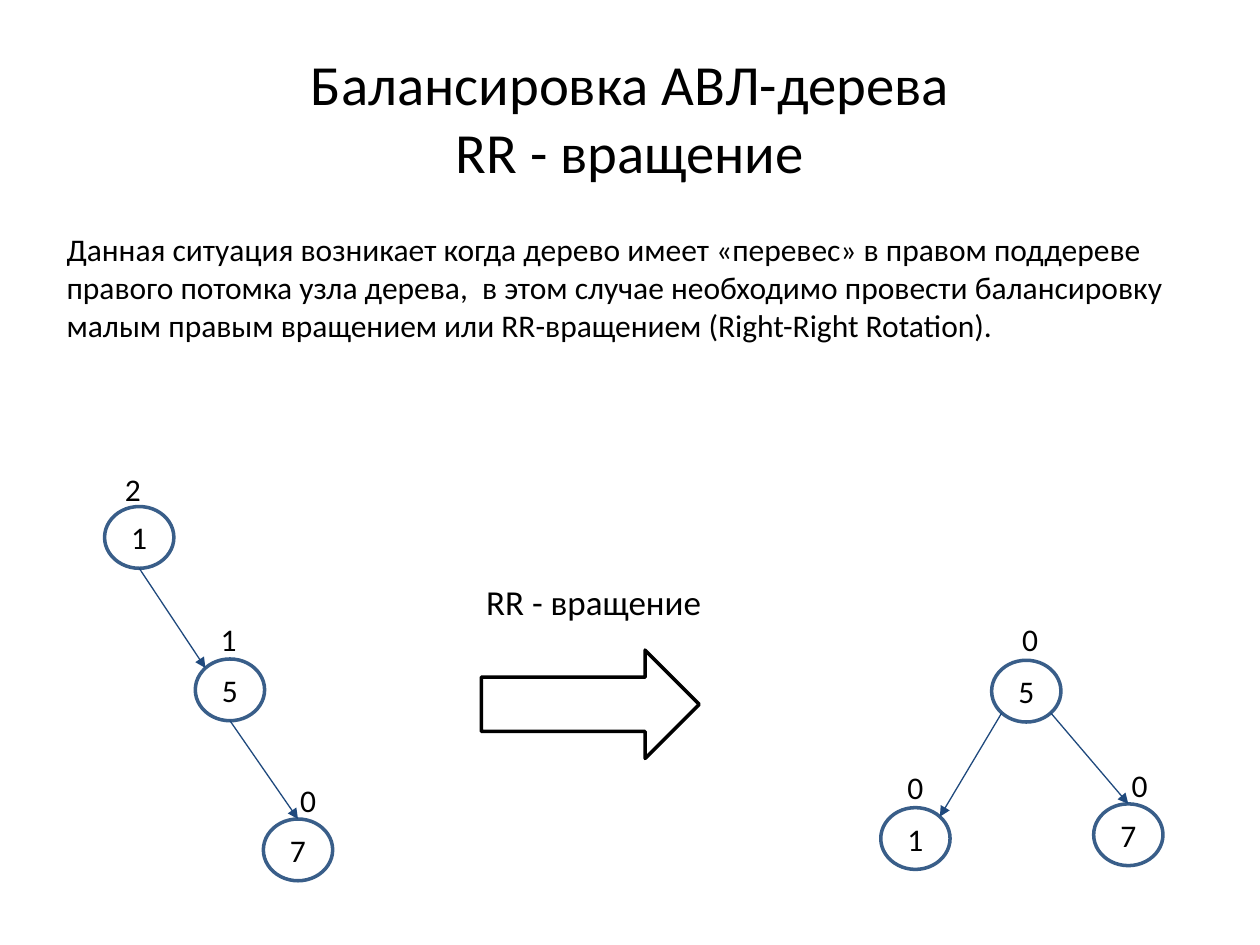
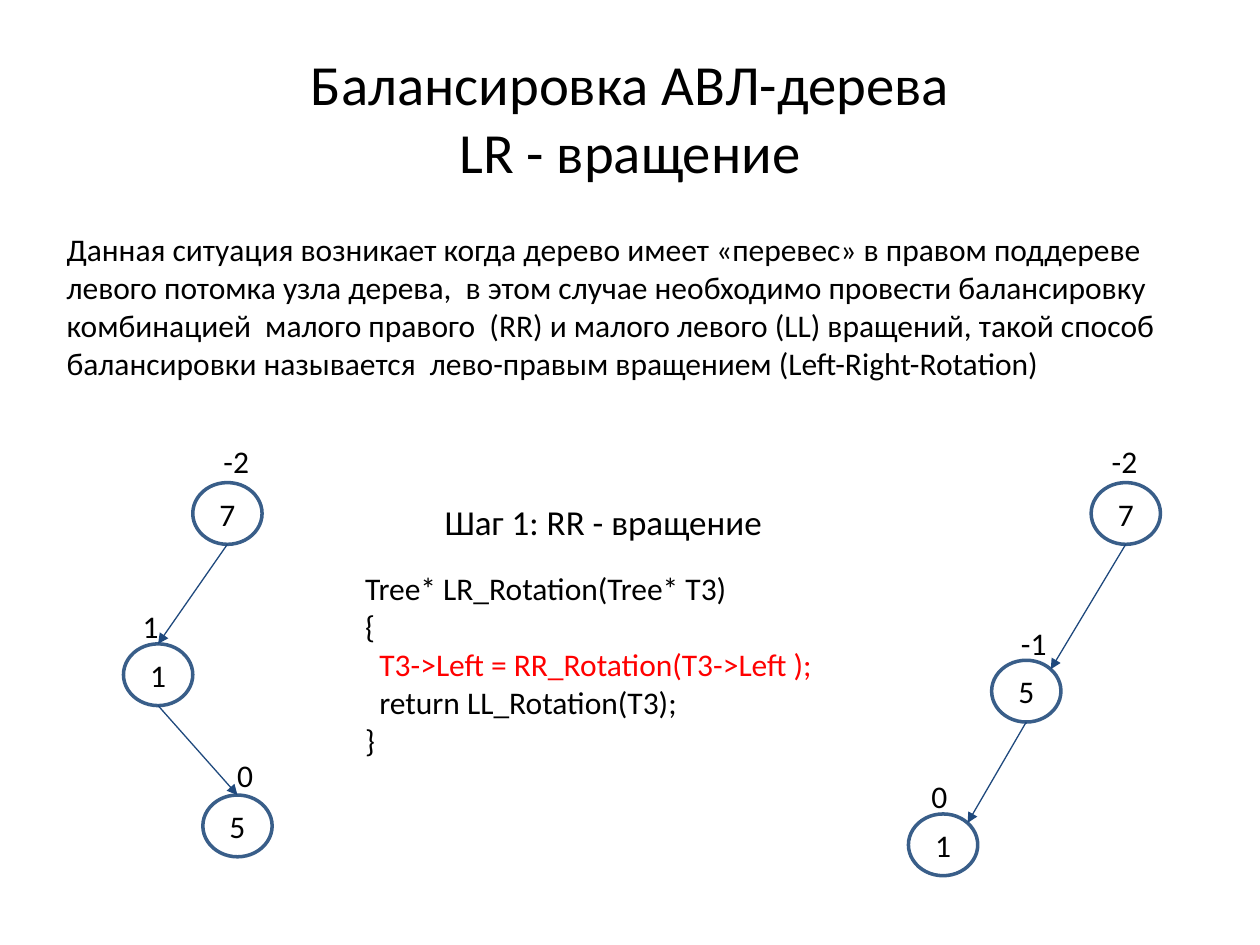
from math import sqrt

from lxml.etree import SubElement
from pptx import Presentation
from pptx.dml.color import RGBColor
from pptx.enum.shapes import MSO_CONNECTOR as Connector, MSO_SHAPE as Shape
from pptx.enum.text import MSO_ANCHOR as Anchor, MSO_AUTO_SIZE as AutoSize, PP_ALIGN as Align
from pptx.oxml.ns import qn
from pptx.util import Emu, Pt

EMU_PER_PX = 9144  # 100 px to the inch
TITLE_ONLY = 5
FONT = "Calibri"
COLOURS = {"text": "000000", "node": "395E89", "edge": "1F497D", "step": "FF0000"}
NODE_SIZE = (55, 49)
LABEL_SIZE = (57, 40)

# Attachment points on a node, as offsets from its centre in half-sizes
DIAGONAL = sqrt(0.5)
SITES = {
    "top": (0, -1),
    "bottom": (0, 1),
    "top left": (-DIAGONAL, -DIAGONAL),
    "top right": (DIAGONAL, -DIAGONAL),
    "bottom left": (-DIAGONAL, DIAGONAL),
    "bottom right": (DIAGONAL, DIAGONAL),
}


def px(value):
    return Emu(round(value * EMU_PER_PX))


def colour(name):
    return RGBColor.from_string(COLOURS[name])


class Deck:
    def __init__(self):
        self.presentation = Presentation()
        self.presentation.slide_width = px(1000)
        self.presentation.slide_height = px(750)
        self.slide = None

    def format_text(self, text_frame, size, align):
        for paragraph in text_frame.paragraphs:
            paragraph.alignment = align
            for run in paragraph.runs:
                run.font.name = FONT
                run.font.size = Pt(size)
                run.font.color.rgb = colour("text")

    def start_slide(self, rotation, description):
        """Add a slide with its title and introductory paragraph."""
        layout = self.presentation.slide_layouts[TITLE_ONLY]
        self.slide = self.presentation.slides.add_slide(layout)
        title = self.slide.shapes.title
        title.left, title.top, title.width, title.height = map(px, (50, 30, 900, 125))
        text_frame = title.text_frame
        text_frame.text = f"Балансировка АВЛ-дерева\v{rotation} - вращение"
        text_frame.auto_size = AutoSize.NONE
        text_frame.vertical_anchor = Anchor.MIDDLE
        self.format_text(text_frame, 32.4, Align.CENTER)
        self.text(description, (43, 178, 902, 142))

    def text(self, content, box, size=18, align=Align.LEFT):
        shape = self.slide.shapes.add_textbox(*map(px, box))
        text_frame = shape.text_frame
        text_frame.word_wrap = True
        text_frame.text = content
        self.format_text(text_frame, size, align)
        return text_frame

    def outline(self, kind, box, line_colour):
        """Add an unfilled preset shape."""
        shape = self.slide.shapes.add_shape(kind, *map(px, box))
        shape.shadow.inherit = False
        shape.fill.background()
        shape.line.color.rgb = colour(line_colour)
        shape.line.width = Pt(2)
        return shape

    def node(self, key, x, y):
        shape = self.outline(Shape.OVAL, (x, y, *NODE_SIZE), "node")
        shape.text_frame.text = key
        shape.text_frame.vertical_anchor = Anchor.MIDDLE
        self.format_text(shape.text_frame, 18, Align.CENTER)

    def arrow(self, start, end):
        connector = self.slide.shapes.add_connector(
            Connector.STRAIGHT, *map(px, (*start, *end)))
        connector.line.color.rgb = colour("edge")
        connector.line.width = Pt(0.75)
        properties = connector.element.spPr
        SubElement(properties.find(qn("a:ln")), qn("a:tailEnd"), type="triangle")
        SubElement(properties, qn("a:effectLst"))

    def tree(self, nodes, edges):
        """Draw nodes {key: (x, y, balance, label x, label y)} and the edges between them."""
        def site_point(key, site):
            return [corner + size / 2 * (1 + offset)
                    for corner, size, offset in zip(nodes[key][:2], NODE_SIZE, SITES[site])]

        for key, (x, y, _, _, _) in nodes.items():
            self.node(key, x, y)
        for parent, parent_site, child, child_site in edges:
            self.arrow(site_point(parent, parent_site), site_point(child, child_site))
        for _, _, balance, label_x, label_y in nodes.values():
            self.text(balance, (label_x, label_y, *LABEL_SIZE), align=Align.CENTER)


def add_rr_rotation(deck):
    deck.start_slide(
        "RR",
        "Данная ситуация возникает когда дерево имеет «перевес» в правом поддереве "
        "правого потомка узла дерева,  в этом случае необходимо провести балансировку "
        "малым правым вращением или RR-вращением (Right-Right Rotation).")
    deck.tree(
        {"1": (83, 402, "2", 77, 368),
         "5": (155, 523, "1", 153, 487),
         "7": (209, 650, "0", 216, 615)},
        [("1", "bottom", "5", "top left"), ("5", "bottom", "7", "top")])
    deck.tree(
        {"5": (787, 524, "0", 789, 487),
         "1": (699, 641, "0", 698, 605),
         "7": (868, 638, "0", 876, 603)},
        [("5", "bottom left", "1", "top right"), ("5", "bottom right", "7", "top")])
    deck.text("RR - вращение", (376, 456, 290, 44), size=20)
    deck.outline(Shape.RIGHT_ARROW, (382, 516, 173, 86), "text")


def add_lr_rotation(deck):
    deck.start_slide(
        "LR",
        "Данная ситуация возникает когда дерево имеет «перевес» в правом поддереве "
        "левого потомка узла дерева,  в этом случае необходимо провести балансировку  "
        "комбинацией  малого правого  (RR) и малого левого (LL) вращений, такой способ "
        "балансировки называется  лево-правым вращением (Left-Right-Rotation)")
    deck.tree(
        {"7": (153, 383, "-2", 159, 346),
         "1": (98, 511, "1", 91, 477),
         "5": (161, 631, "0", 166, 595)},
        [("7", "bottom", "1", "top"), ("1", "bottom", "5", "top")])
    deck.tree(
        {"7": (866, 383, "-2", 864, 346),
         "5": (787, 524, "-1", 792, 490),
         "1": (721, 646, "0", 717, 612)},
        [("7", "bottom", "5", "top right"), ("5", "bottom", "1", "top right")])
    deck.text("Шаг 1: RR - вращение", (343, 392, 315, 44), size=20)
    code_lines = [
        "Tree* LR_Rotation(Tree* T3)",
        "{",
        "  T3->Left = RR_Rotation(T3->Left );",
        "  return LL_Rotation(T3);",
        "}",
    ]
    code = deck.text("\n".join(code_lines), (280, 447, 395, 222))
    code.paragraphs[2].runs[0].font.color.rgb = colour("step")


def main():
    deck = Deck()
    add_rr_rotation(deck)
    add_lr_rotation(deck)
    deck.presentation.save("out.pptx")


if __name__ == "__main__":
    main()
